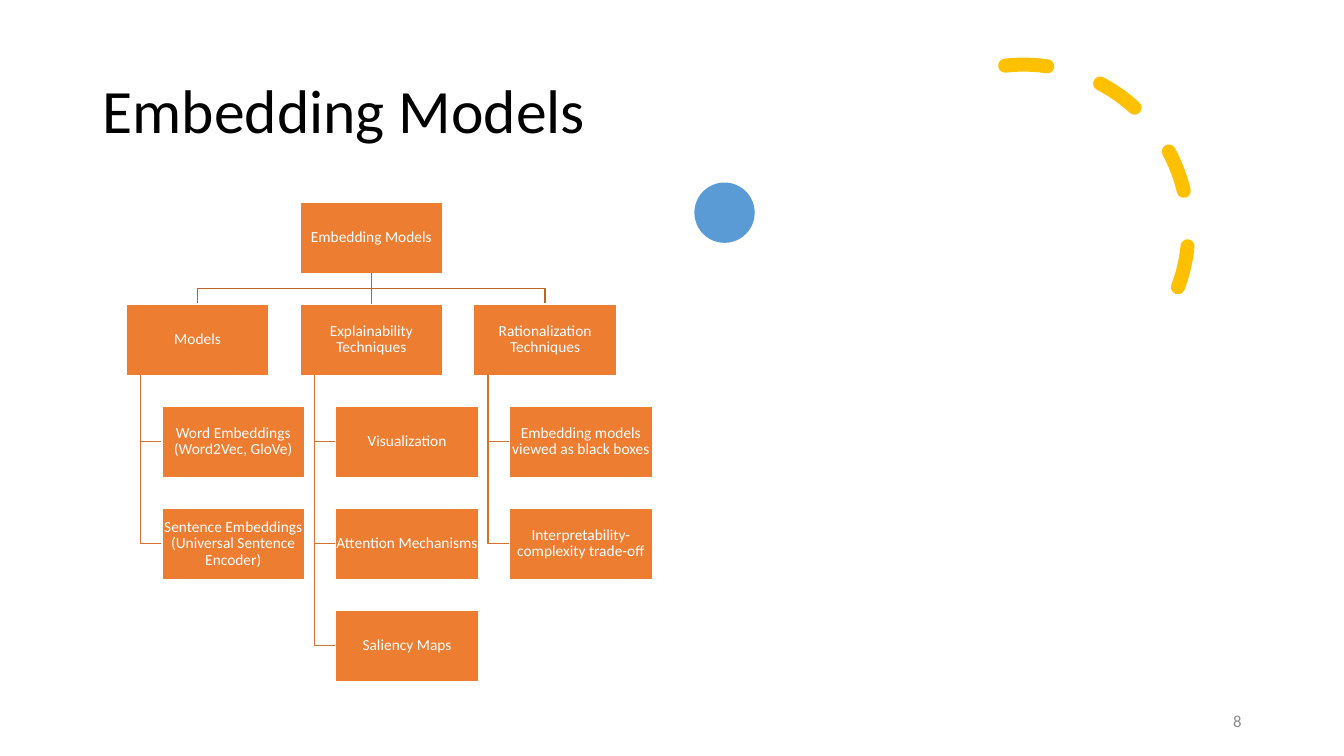
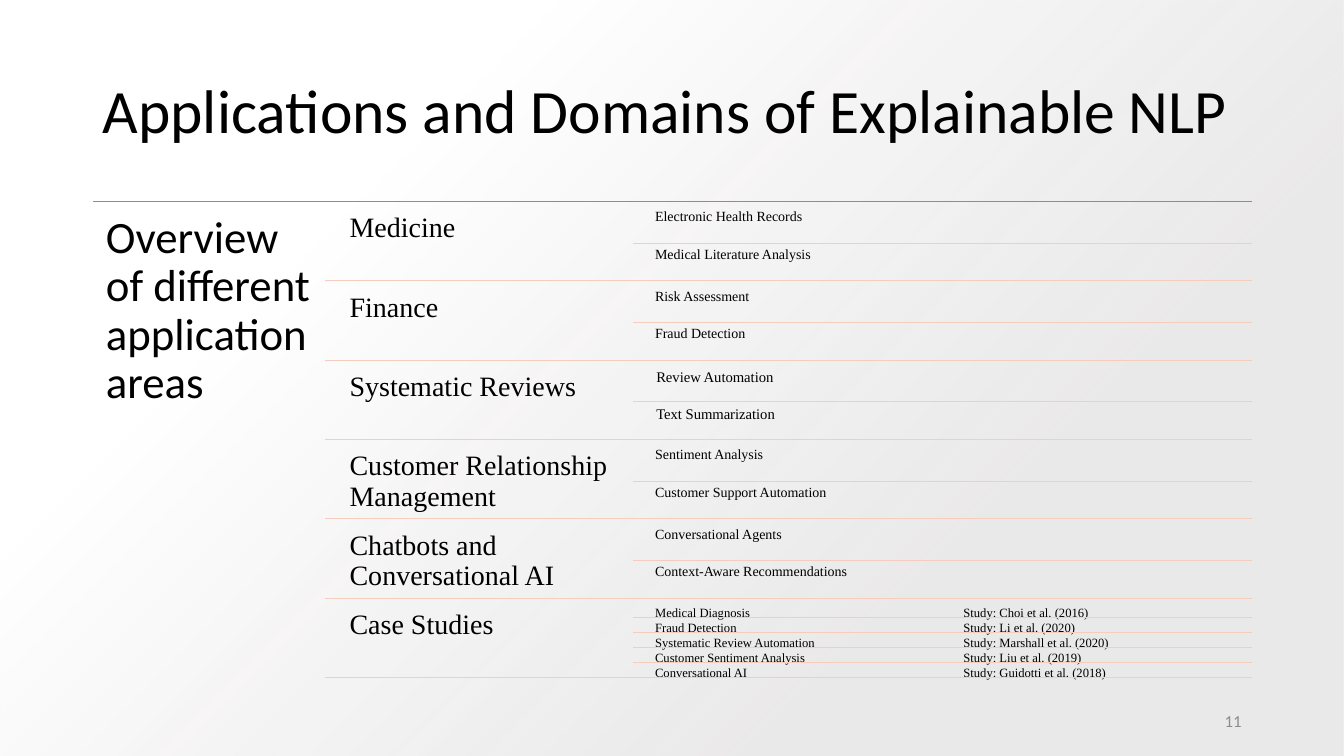
from pptx import Presentation
from pptx.dml.color import RGBColor
from pptx.enum.dml import MSO_LINE
from pptx.enum.shapes import MSO_CONNECTOR, MSO_SHAPE
from pptx.enum.text import MSO_ANCHOR as Anchor, PP_ALIGN as Align
from pptx.oxml import parse_xml
from pptx.oxml.ns import nsdecls, qn
from pptx.util import Cm, Pt

BLACK = RGBColor(0x00, 0x00, 0x00)
WHITE = RGBColor(0xFF, 0xFF, 0xFF)
ORANGE = RGBColor(0xED, 0x7D, 0x31)
TRUNK = RGBColor(0xBE, 0x64, 0x27)
BRANCH = RGBColor(0xD7, 0x71, 0x2C)
BLUE = RGBColor(0x5B, 0x9B, 0xD5)
GOLD = RGBColor(0xFF, 0xC0, 0x00)
PEACH = RGBColor(0xF6, 0xCC, 0xBE)
RULE_GREY = RGBColor(0x86, 0x90, 0x90)
PAGE_GREY = RGBColor(0x8C, 0x8C, 0x8C)

SANS, SERIF = "Calibri", "Times New Roman"
SLIDE_W, SLIDE_H = 33.87, 19.05
MARGIN, CONTENT_W = 2.34, 29.2

BACKDROP = f"""<a:gradFill {nsdecls('a')} rotWithShape="1"><a:gsLst>
<a:gs pos="28000"><a:srgbClr val="E7E6E6"><a:alpha val="84000"/></a:srgbClr></a:gs>
<a:gs pos="74000"><a:srgbClr val="FFFFFF"/></a:gs></a:gsLst>
<a:path path="circle"><a:fillToRect l="100000" t="100000"/></a:path></a:gradFill>"""

TECHNIQUES = [
    ("Models", ["Word Embeddings (Word2Vec, GloVe)",
                "Sentence Embeddings (Universal Sentence Encoder)"]),
    ("Explainability Techniques", ["Visualization", "Attention Mechanisms",
                                   "Saliency Maps"]),
    ("Rationalization Techniques", ["Embedding models viewed as black boxes",
                                    "Interpretability-complexity trade-off"]),
]

# Area, text size and inset of its topics, topics with an optional study
AREAS = [
    ("Medicine", 10, 0.1,
     [["Electronic Health Records"], ["Medical Literature Analysis"]]),
    ("Finance", 10, 0.1, [["Risk Assessment"], ["Fraud Detection"]]),
    ("Systematic Reviews", 10.5, 0.13,
     [["Review Automation"], ["Text Summarization"]]),
    ("Customer Relationship Management", 10, 0.1,
     [["Sentiment Analysis"], ["Customer Support Automation"]]),
    ("Chatbots and Conversational AI", 10, 0.1,
     [["Conversational Agents"], ["Context-Aware Recommendations"]]),
    ("Case Studies", 9, 0.1, [
        ["Medical Diagnosis", "Study: Choi et al. (2016)"],
        ["Fraud Detection", "Study: Li et al. (2020)"],
        ["Systematic Review Automation", "Study: Marshall et al. (2020)"],
        ["Customer Sentiment Analysis", "Study: Liu et al. (2019)"],
        ["Conversational AI", "Study: Guidotti et al. (2018)"],
    ]),
]


class Deck:
    """Holds the shared style and draws on the current slide, in centimetres."""

    def __init__(self):
        self.prs = Presentation()
        self.prs.slide_width, self.prs.slide_height = Cm(SLIDE_W), Cm(SLIDE_H)
        self.shapes = None

    def new_slide(self):
        slide = self.prs.slides.add_slide(self.prs.slide_layouts[6])
        self.shapes = slide.shapes

    def heading(self, title, number):
        """Add the slide title and the page number."""
        self.text(MARGIN, 1.02, CONTENT_W, 3.68, title, 44, anchor=Anchor.MIDDLE)
        self.text(23.93, 17.66, 7.61, 1.02, number, 12, color=PAGE_GREY,
                  align=Align.RIGHT, anchor=Anchor.MIDDLE, spacing=1)

    def set_text(self, shape, content, size, font=SANS, color=BLACK,
                 align=Align.LEFT, anchor=Anchor.TOP, inset=None, spacing=0.9):
        frame = shape.text_frame
        layout = {"word_wrap": True, "vertical_anchor": anchor}
        if inset is not None:
            for side in ("left", "top", "right", "bottom"):
                layout[f"margin_{side}"] = Cm(inset)
        for key, value in layout.items():
            setattr(frame, key, value)
        paragraph = frame.paragraphs[0]
        paragraph.alignment, paragraph.line_spacing = align, spacing
        run = paragraph.add_run()
        run.text = content
        for key, value in {"name": font, "size": Pt(size)}.items():
            setattr(run.font, key, value)
        run.font.color.rgb = color

    def text(self, x, y, w, h, content, size, **style):
        area = self.shapes.add_textbox(Cm(x), Cm(y), Cm(w), Cm(h))
        self.set_text(area, content, size, **style)

    def shape(self, kind, x, y, w, h, fill=None, line=None, width=1):
        shape = self.shapes.add_shape(kind, Cm(x), Cm(y), Cm(w), Cm(h))
        self.paint(shape, fill, line, width)
        return shape

    def paint(self, shape, fill, line, width=1):
        shape.shadow.inherit = False
        for part, color in ((shape.fill, fill), (shape.line.fill, line)):
            if color is None:
                part.background()
            else:
                part.solid()
                part.fore_color.rgb = color
        if line is not None:
            shape.line.width = Pt(width)

    def box(self, x, y, w, h, label):
        box = self.shape(MSO_SHAPE.RECTANGLE, x, y, w, h, ORANGE, WHITE)
        self.set_text(box, label, 11, color=WHITE, align=Align.CENTER,
                      anchor=Anchor.MIDDLE, inset=0.02)
        return box

    def backdrop(self):
        panel = self.shape(MSO_SHAPE.RECTANGLE, 0, 0, SLIDE_W, SLIDE_H)
        properties = panel.element.spPr
        properties.replace(properties.find(qn("a:noFill")), parse_xml(BACKDROP))

    def line(self, x1, y1, x2, y2, color, width=0.5):
        line = self.shapes.add_connector(
            MSO_CONNECTOR.STRAIGHT, Cm(x1), Cm(y1), Cm(x2), Cm(y2))
        line.line.color.rgb, line.line.width = color, Pt(width)
        line.element.spPr.append(parse_xml(f"<a:effectLst {nsdecls('a')}/>"))
        return line

    def polyline(self, points, color):
        start, *others = [(Cm(x), Cm(y)) for x, y in points]
        builder = self.shapes.build_freeform(*start)
        builder.add_line_segments(others, close=False)
        self.paint(builder.convert_to_shape(), None, color)

    def dashed_arc(self, x, y, size, start, end):
        arc = self.shape(MSO_SHAPE.ARC, x, y, size, size, line=GOLD, width=10)
        arc.adjustments[0], arc.adjustments[1] = start, end
        arc.line.dash_style = MSO_LINE.DASH
        arc.element.spPr.find(qn("a:ln")).set("cap", "rnd")


def embedding_models(deck):
    box_w, box_h = 3.6, 1.8
    left, top, column_step, row_step = 3.18, 5.09, 4.38, 2.57
    indent, trunk_offset = 0.9, 0.36

    deck.new_slide()
    deck.dashed_arc(21.64, 1.63, 8.31, 158.17, 17.81)
    deck.heading("Embedding Models", "8")
    deck.shape(MSO_SHAPE.OVAL, 17.5, 4.6, 1.52, 1.52, BLUE)

    root_x = left + column_step
    root_mid = root_x + box_w / 2
    group_y = top + row_step
    fork_y = (top + box_h + group_y) / 2
    root = deck.box(root_x, top, box_w, box_h, "Embedding Models")
    for column, (group, members) in enumerate(TECHNIQUES):
        x = left + column * column_step
        middle, trunk_x = x + box_w / 2, x + trunk_offset
        if x != root_x:
            deck.polyline([(root_mid, top + box_h), (root_mid, fork_y),
                           (middle, fork_y), (middle, group_y)], TRUNK)
        group_box = deck.box(x, group_y, box_w, box_h, group)
        if x == root_x:
            stem = deck.line(root_mid, top + box_h, middle, group_y, TRUNK, 1)
            stem.begin_connect(root, 2)
            stem.end_connect(group_box, 0)
        for row, member in enumerate(members, start=1):
            y = group_y + row * row_step
            deck.polyline([(trunk_x, group_y + box_h), (trunk_x, y + box_h / 2),
                           (x + indent, y + box_h / 2)], BRANCH)
            deck.box(x + indent, y, box_w, box_h, member)


def applications(deck):
    top, first_area_y, area_step, area_h = 5.08, 5.18, 2, 1.89
    right, column_w = MARGIN + CONTENT_W, 7.34
    topic_columns = (16.41, 24.18)

    deck.new_slide()
    deck.backdrop()
    deck.heading("Applications and Domains of Explainable NLP", "11")
    deck.line(MARGIN, top, right, top, RULE_GREY)
    deck.text(MARGIN, top, 5.84, 12.06, "Overview of different application areas",
              32, inset=0.33)
    for index, (area, size, inset, topics) in enumerate(AREAS):
        y = first_area_y + index * area_step
        topic_h = area_h / len(topics)
        deck.text(8.61, y, column_w, area_h, area, 20, font=SERIF, inset=0.2)
        for row, cells in enumerate(topics):
            topic_y = y + row * topic_h
            if row:
                deck.line(15.95, topic_y, right, topic_y, PEACH)
            for x, cell in zip(topic_columns, cells):
                deck.text(x, topic_y, column_w, topic_h, cell, size,
                          font=SERIF, inset=inset)
        deck.line(8.18, y + area_h, right, y + area_h, PEACH)


def main():
    deck = Deck()
    embedding_models(deck)
    applications(deck)
    deck.prs.save("out.pptx")


if __name__ == "__main__":
    main()
